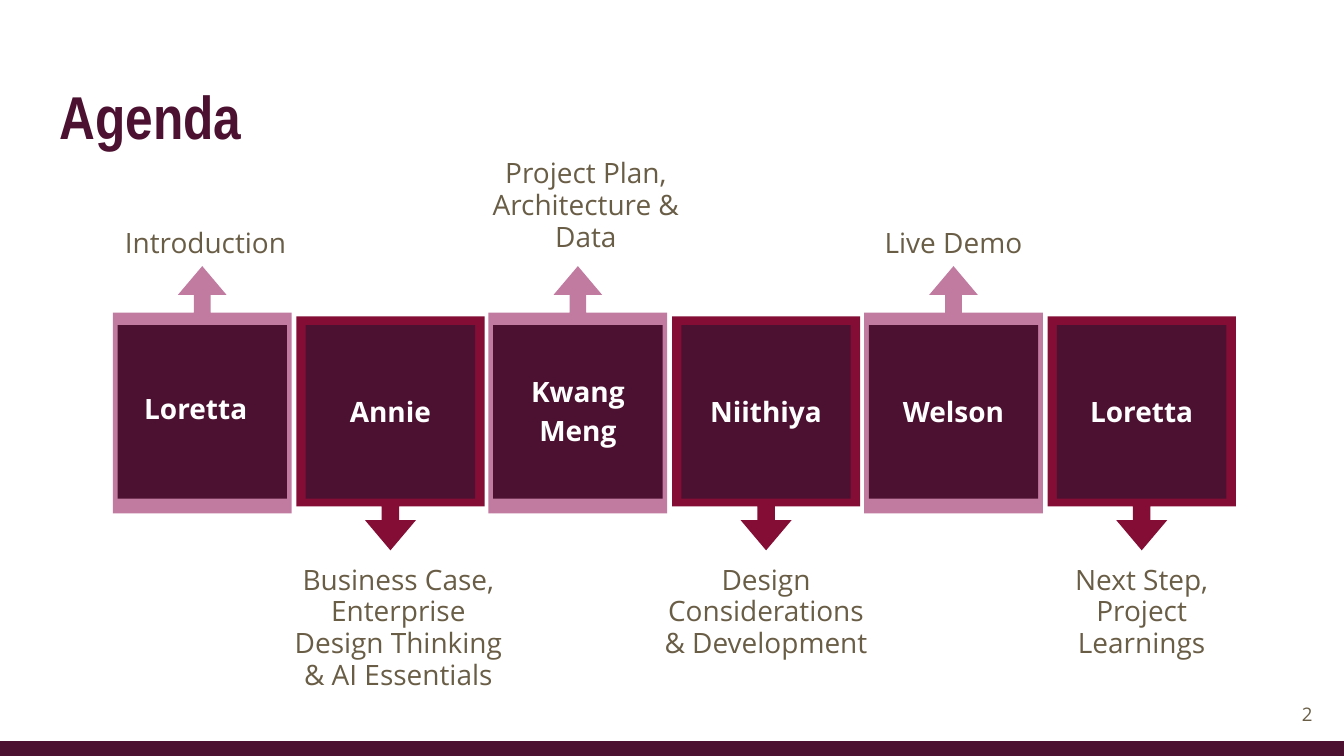
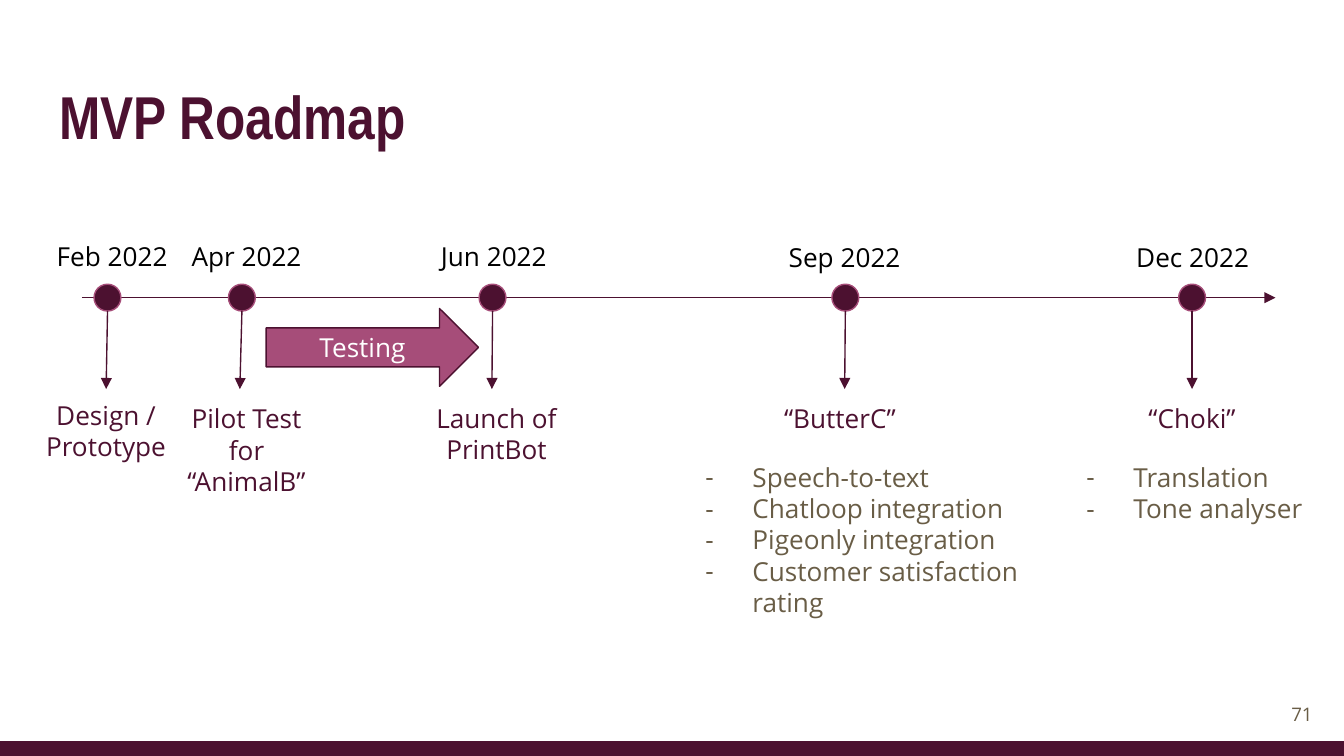
from dataclasses import dataclass
from typing import Any

from lxml import etree
from pptx import Presentation, util as u
from pptx.dml.color import RGBColor
from pptx.enum import shapes as sh, text as tx
from pptx.oxml.ns import qn

# Shared scale (200 px to the inch), colours and fonts
PX = 4572
WIDE, HIGH = 2000, 1125
PLUM, WINE, PINK, ROSE = "4C1130", "840D35", "C27BA0", "A64D79"
TAUPE, BLACK, WHITE = "695D46", "000000", "FFFFFF"
SANS, NARROW = "Open Sans", "Arial Narrow"
KIND, MID = sh.MSO_SHAPE, tx.MSO_ANCHOR.MIDDLE
LEFT, MIDDLE, RIGHT = tx.PP_ALIGN.LEFT, tx.PP_ALIGN.CENTER, tx.PP_ALIGN.RIGHT
Box = tuple[int, int, int, int]


@dataclass(frozen=True)
class Style:
    size: float
    color: str
    bold: bool = False
    font: str = SANS
    align: Any = MIDDLE
    lead: float | None = None
    after: int = 0
    anchor: Any = tx.MSO_ANCHOR.TOP
    grow: bool = False
    bullet: str = ""


HEAD = Style(32.4, PLUM, True, NARROW, LEFT)
PAGE = Style(10, TAUPE, align=RIGHT, anchor=MID)
TOPIC = Style(15, TAUPE, lead=0.95, after=12)
NAME = Style(15, WHITE, True, lead=1.15, anchor=MID)
FIRST = Style(15, WHITE, True, align=LEFT, anchor=MID)
DATE = Style(14, BLACK, grow=True)
GOAL = Style(14, PLUM, grow=True)
TEST = Style(14, WHITE, anchor=MID)
ITEM = Style(14, TAUPE, align=LEFT, grow=True, bullet="-")


@dataclass(frozen=True)
class Step:
    name: str
    topic: str
    box: Box
    up: bool
    style: Style = NAME


@dataclass(frozen=True)
class Stop:
    date: str
    goal: str
    dot: int
    tip: int
    when: Box
    what: Box


STEPS = [
    Step("Loretta", "Introduction", (120, 320, 372, 86), True, FIRST),
    Step("Annie", "Business Case, Enterprise Design Thinking & AI Essentials",
         (407, 820, 372, 236), False),
    Step("Kwang Meng", "Project Plan, Architecture & Data",
         (686, 215, 372, 190), True),
    Step("Niithiya", "Design Considerations & Development",
         (954, 820, 372, 236), False),
    Step("Welson", "Live Demo", (1233, 320, 372, 86), True),
    Step("Loretta", "Next Step, Project Learnings",
         (1513, 820, 372, 236), False),
]

STOPS = [
    Stop("Feb 2022", "Design / Prototype", 160, 158,
         (44, 338, 246, 88), (42, 574, 232, 134)),
    Stop("Apr 2022", "Pilot Test for “AnimalB”", 360, 357,
         (244, 338, 246, 88), (256, 579, 222, 182)),
    Stop("Jun 2022", "Launch of PrintBot", 733, 732,
         (619, 338, 232, 88), (592, 579, 294, 134)),
    Stop("Sep 2022", "“ButterC”", 1258, 1257,
         (1134, 340, 246, 88), (1134, 579, 232, 88)),
    Stop("Dec 2022", "“Choki”", 1774, 1774,
         (1659, 340, 232, 88), (1671, 579, 206, 88)),
]

LISTS = [
    ((1000, 666, 550, 276),
     ["Speech-to-text", "Chatloop integration", "Pigeonly integration",
      "Customer satisfaction rating"]),
    ((1567, 666, 408, 134), ["Translation", "Tone analyser"]),
]


def px(*vals: int) -> list[u.Emu]:
    return [u.Emu(v * PX) for v in vals]


def rgb(code: str) -> RGBColor:
    return RGBColor.from_string(code)


def put(obj: Any, vals: dict[str, Any]) -> None:
    for key, val in vals.items():
        setattr(obj, key, val)


# Text
def mark(par: Any, style: Style) -> None:
    """Give a paragraph a hanging bullet."""
    props = par._p.get_or_add_pPr()
    props.set("marL", str(100 * PX))
    props.set("indent", str(-70 * PX))
    tint = etree.SubElement(props, qn("a:buClr"))
    etree.SubElement(tint, qn("a:srgbClr")).set("val", style.color)
    for tag, key, val in (("a:buSzPts", "val", str(style.size * 100)),
                          ("a:buFont", "typeface", style.font),
                          ("a:buChar", "char", style.bullet)):
        etree.SubElement(props, qn(tag)).set(key, val)


def fill_text(shape: Any, lines: list[str], style: Style) -> None:
    frame = shape.text_frame
    edge = px(20)[0]
    fit = tx.MSO_AUTO_SIZE
    put(frame, {
        "word_wrap": True, "vertical_anchor": style.anchor,
        "margin_left": edge, "margin_right": edge,
        "margin_top": edge, "margin_bottom": edge,
        "auto_size": fit.SHAPE_TO_FIT_TEXT if style.grow else fit.NONE,
    })
    for i, line in enumerate(lines):
        par = frame.add_paragraph() if i else frame.paragraphs[0]
        if style.bullet:
            mark(par, style)
        put(par, {"alignment": style.align, "line_spacing": style.lead,
                  "space_after": u.Pt(style.after)})
        run = par.add_run()
        run.text = line
        put(run.font, {"size": u.Pt(style.size), "bold": style.bold,
                       "name": style.font})
        run.font.color.rgb = rgb(style.color)


def write(slide: Any, box: Box, style: Style, *lines: str) -> Any:
    label = slide.shapes.add_textbox(*px(*box))
    fill_text(label, list(lines), style)
    return label


# Shapes and lines
def draw(slide: Any, kind: Any, box: Box, fill: str, line: str = "",
         adj: tuple[float, ...] = (), turn: int = 0) -> Any:
    shape = slide.shapes.add_shape(kind, *px(*box))
    shape.rotation = turn
    shape.shadow.inherit = False
    shape.fill.solid()
    shape.fill.fore_color.rgb = rgb(fill)
    if line:
        shape.line.color.rgb = rgb(line)
        shape.line.width = u.Pt(0.75)
    else:
        shape.line.fill.background()
    for i, val in enumerate(adj):
        shape.adjustments[i] = val
    return shape


def arrow(slide: Any, ends: Box) -> Any:
    link = slide.shapes.add_connector(sh.MSO_CONNECTOR.STRAIGHT, *px(*ends))
    link.line.color.rgb = rgb(PLUM)
    link.line.width = u.Pt(0.75)
    tail = etree.SubElement(link.line._get_or_add_ln(), qn("a:tailEnd"))
    tail.set("type", "triangle")
    etree.SubElement(link._element.spPr, qn("a:effectLst"))
    return link


def start(deck: Any, title: str, page: str) -> Any:
    """Add a slide with its title, page number and bottom band."""
    slide = deck.slides.add_slide(deck.slide_layouts[6])
    draw(slide, KIND.RECTANGLE, (0, HIGH - 22, WIDE, 22), PLUM)
    write(slide, (69, 98, 1864, 154), HEAD, title)
    write(slide, (1853, 1020, 120, 86), PAGE, page)
    return slide


# Agenda
def agenda(deck: Any) -> None:
    slide = start(deck, "Agenda", "2")
    for i, step in enumerate(STEPS):
        mid = round(301 + 279.6 * i)
        if step.up:
            box, tint, turn = (mid - 184, 447, 368, 266), PINK, 270
        else:
            box, tint, turn = (mid - 174, 505, 348, 280), WINE, 90
        draw(slide, KIND.RIGHT_ARROW_CALLOUT, box, tint,
             adj=(0.093, 0.136, 0.161, 0.812), turn=turn)
        draw(slide, KIND.SNIP_1_RECTANGLE, (mid - 126, 484, 252, 258), PLUM,
             adj=(0,))
        write(slide, (mid - 106, 501, 212, 214), step.style, step.name)
        write(slide, step.box, TOPIC, step.topic)


# Roadmap
def roadmap(deck: Any) -> None:
    slide = start(deck, "MVP Roadmap", "71")
    arrow(slide, (122, 443, 1898, 443))
    for stop in STOPS:
        draw(slide, KIND.OVAL, (stop.dot - 20, 423, 40, 40), PLUM, ROSE)
        drop = arrow(slide, (stop.dot, 463, stop.tip, 579))
        write(slide, stop.when, DATE, stop.date)
        goal = write(slide, stop.what, GOAL, stop.goal)
        left, top, wide, _ = stop.what
        if (left + wide // 2, top) == (stop.tip, 579):
            drop.end_connect(goal, 0)
    test = draw(slide, KIND.RIGHT_ARROW, (396, 459, 316, 116), ROSE, PLUM,
                adj=(0.5, 0.5))
    fill_text(test, ["Testing"], TEST)
    for box, items in LISTS:
        write(slide, box, ITEM, *items)


def main() -> None:
    deck = Presentation()
    deck.slide_width, deck.slide_height = px(WIDE, HIGH)
    agenda(deck)
    roadmap(deck)
    deck.save("out.pptx")


if __name__ == "__main__":
    main()
